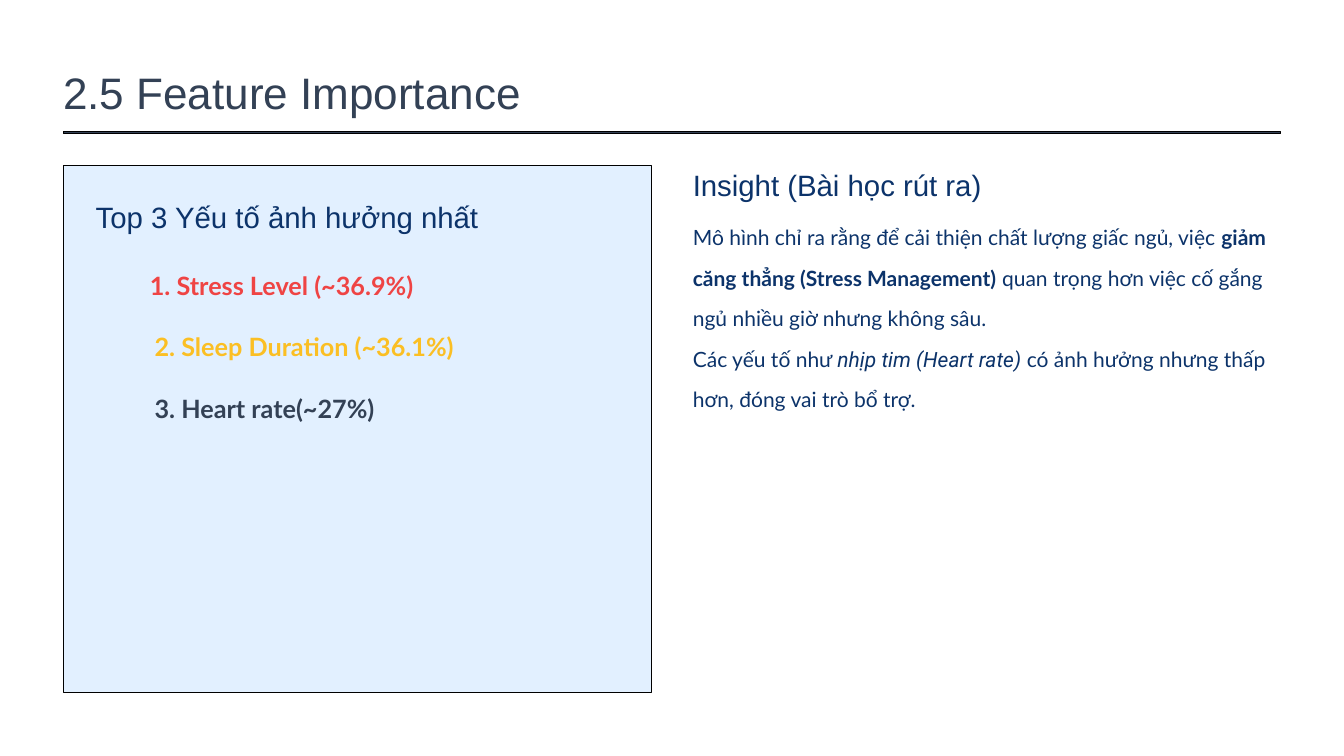
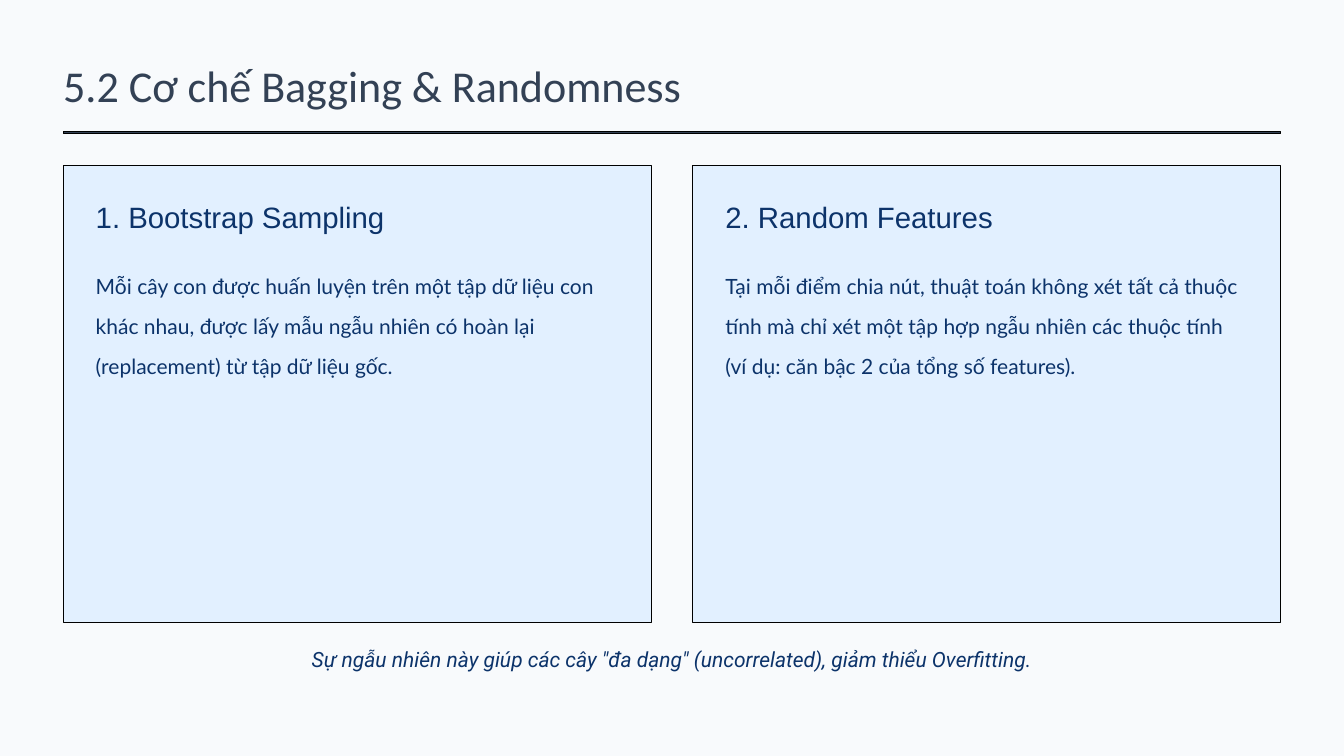
from pptx import Presentation
from pptx.dml.color import RGBColor
from pptx.enum.shapes import MSO_SHAPE
from pptx.enum.text import MSO_AUTO_SIZE, PP_ALIGN
from pptx.util import Inches, Pt

# Colours
WHITE = RGBColor(0xFF, 0xFF, 0xFF)
PALE_GREY = RGBColor(0xF8, 0xFA, 0xFC)
PALE_BLUE = RGBColor(0xE2, 0xF0, 0xFF)
NAVY = RGBColor(0x0C, 0x33, 0x6A)
SLATE = RGBColor(0x33, 0x41, 0x55)
RED = RGBColor(0xEF, 0x44, 0x44)
AMBER = RGBColor(0xFB, 0xBF, 0x24)
BLACK = RGBColor(0, 0, 0)

# Shared layout, in inches
LEFT_COLUMN, RIGHT_COLUMN = 0.94, 10.31
COLUMN_WIDTH, CONTENT_WIDTH = 8.75, 18.12
CARD_TOP, CARD_PADDING = 2.46, 0.485

# Text styles: font, size and line spacing in points
HEADING = ("Arial", 31.5, 45.4)
BODY = ("Lato", 22.5, 43.2)
RANK = ("Lato", 27, 51.8)


def add_slide(presentation, background):
    slide = presentation.slides.add_slide(presentation.slide_layouts[6])
    slide.background.fill.solid()
    slide.background.fill.fore_color.rgb = background
    return slide


def add_text(slide, left, top, width, height, runs, style, color=NAVY,
             align=PP_ALIGN.LEFT):
    """Add one paragraph; each run is a text and a dict of font settings."""
    name, size, line_spacing = style
    box = slide.shapes.add_textbox(Inches(left), Inches(top),
                                   Inches(width), Inches(height))
    frame = box.text_frame
    frame.word_wrap = True
    frame.auto_size = MSO_AUTO_SIZE.SHAPE_TO_FIT_TEXT
    frame.margin_left = frame.margin_right = 0
    frame.margin_top = frame.margin_bottom = 0
    paragraph = frame.paragraphs[0]
    paragraph.alignment = align
    paragraph.line_spacing = Pt(line_spacing)
    for text, settings in runs:
        run = paragraph.add_run()
        run.text = text
        run.font.name = settings.get("name", name)
        run.font.size = Pt(size)
        run.font.bold = settings.get("bold", False)
        run.font.italic = settings.get("italic", False)
        run.font.color.rgb = color


def add_box(slide, left, top, width, height, color):
    shape = slide.shapes.add_shape(MSO_SHAPE.RECTANGLE, Inches(left), Inches(top),
                                   Inches(width), Inches(height))
    shape.shadow.inherit = False
    shape.fill.solid()
    shape.fill.fore_color.rgb = color
    shape.line.color.rgb = BLACK
    shape.line.width = Pt(1)


def add_title(slide, text, font_name, top, height):
    add_text(slide, LEFT_COLUMN, top, CONTENT_WIDTH, height, [(text, {})],
             (font_name, 47.2, 68), SLATE)
    add_box(slide, LEFT_COLUMN, 1.96, CONTENT_WIDTH, 0.03, SLATE)


def add_card(slide, left, height, heading):
    add_box(slide, left, CARD_TOP, COLUMN_WIDTH, height, PALE_BLUE)
    add_text(slide, left + CARD_PADDING, 2.86, COLUMN_WIDTH - 2 * CARD_PADDING, 0.6,
             [(heading, {})], HEADING)


def build_feature_importance(presentation):
    slide = add_slide(presentation, WHITE)
    add_title(slide, "2.5 Feature Importance", "Arial", 0.81, 0.88)

    # Ranked factors
    add_card(slide, LEFT_COLUMN, 7.85, "Top 3 Yếu tố ảnh hưởng nhất")
    factors = [
        ("1. Stress Level (~36.9%)", RED, 2.23),
        ("2. Sleep Duration (~36.1%)", AMBER, 2.3),
        ("3. Heart rate(~27%)", SLATE, 2.3),
    ]
    for index, (text, color, left) in enumerate(factors):
        add_text(slide, left, 3.75 + index * 0.915, 6.91, 0.65,
                 [(text, {"bold": True})], RANK, color)

    # Insight column
    add_text(slide, RIGHT_COLUMN, 2.38, COLUMN_WIDTH, 0.6,
             [("Insight (Bài học rút ra)", {})], HEADING)
    add_text(slide, RIGHT_COLUMN, 3.12, COLUMN_WIDTH, 1.73, [
        ("Mô hình chỉ ra rằng để cải thiện chất lượng giấc ngủ, việc ", {}),
        ("giảm căng thẳng (Stress Management)", {"bold": True}),
        (" quan trọng hơn việc cố gắng ngủ nhiều giờ nhưng không sâu.", {}),
    ], BODY)
    add_text(slide, RIGHT_COLUMN, 4.93, COLUMN_WIDTH, 1.14, [
        ("Các yếu tố như ", {}),
        ("nhịp tim (Heart rate)", {"name": "Roboto", "italic": True}),
        (" có ảnh hưởng nhưng thấp hơn, đóng vai trò bổ trợ.", {}),
    ], BODY)


def build_bagging(presentation):
    slide = add_slide(presentation, PALE_GREY)
    add_title(slide, "5.2 Cơ chế Bagging & Randomness", "Calibri", 0.71, 0.95)

    # Two mechanisms side by side
    mechanisms = [
        (LEFT_COLUMN, "1. Bootstrap Sampling",
         "Mỗi cây con được huấn luyện trên một tập dữ liệu con khác nhau, được lấy "
         "mẫu ngẫu nhiên có hoàn lại (replacement) từ tập dữ liệu gốc."),
        (RIGHT_COLUMN, "2. Random Features",
         "Tại mỗi điểm chia nút, thuật toán không xét tất cả thuộc tính mà chỉ xét "
         "một tập hợp ngẫu nhiên các thuộc tính (ví dụ: căn bậc 2 của tổng số "
         "features)."),
    ]
    for left, heading, body in mechanisms:
        add_card(slide, left, 6.81, heading)
        add_text(slide, left + CARD_PADDING, 3.84, COLUMN_WIDTH - 2 * CARD_PADDING,
                 1.68, [(body, {})], BODY)

    # Closing remark
    remark = ('Sự ngẫu nhiên này giúp các cây "đa dạng" (uncorrelated), '
              'giảm thiểu Overfitting.')
    add_text(slide, LEFT_COLUMN, 9.4, CONTENT_WIDTH, 0.68,
             [(remark, {"name": "Roboto", "italic": True})], BODY,
             align=PP_ALIGN.CENTER)


def main():
    presentation = Presentation()
    presentation.slide_width = Inches(20)
    presentation.slide_height = Inches(11.25)
    build_feature_importance(presentation)
    build_bagging(presentation)
    presentation.save("out.pptx")


if __name__ == "__main__":
    main()
